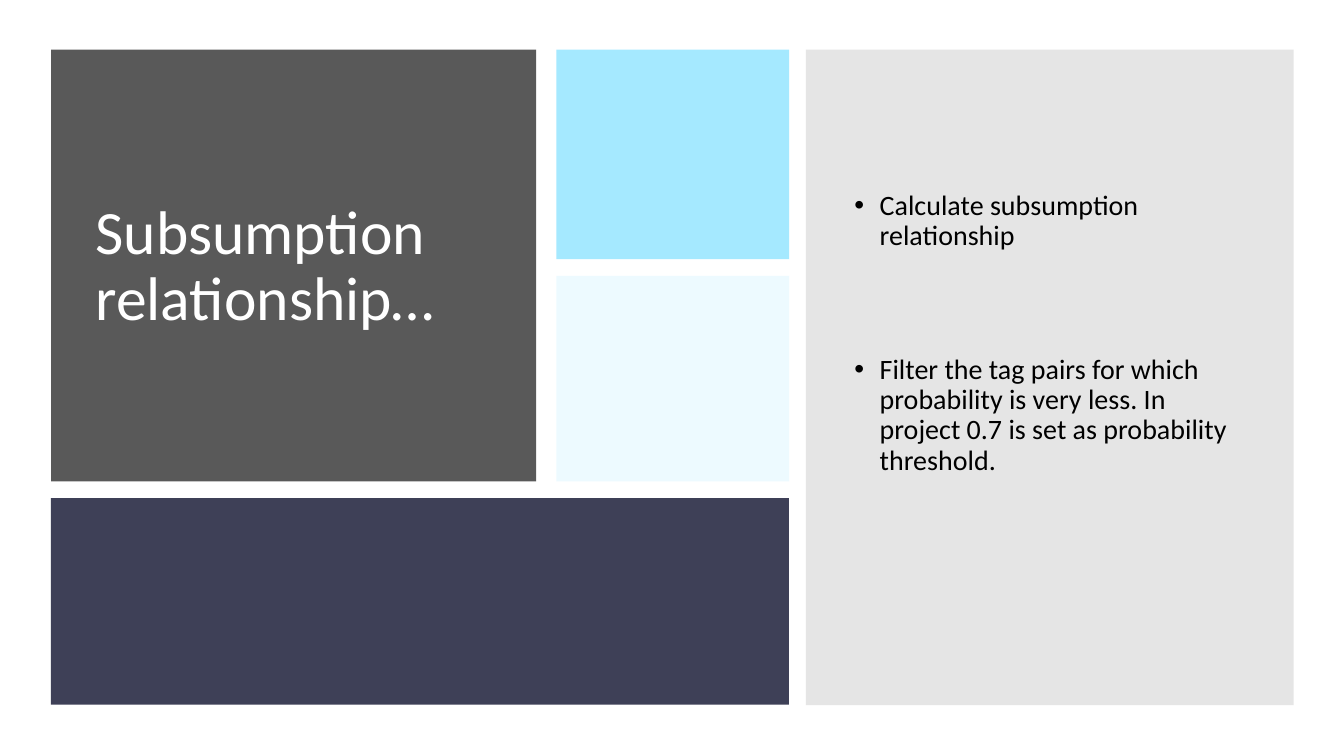
"""Build the slide on the subsumption relationship."""
from lxml.etree import SubElement
from pptx import Presentation
from pptx.dml.color import RGBColor
from pptx.enum.shapes import MSO_SHAPE
from pptx.enum.text import MSO_ANCHOR
from pptx.oxml.ns import qn
from pptx.util import Cm, Pt

COLORS = {
    "gray": "595959",
    "sky": "A5E9FF",
    "navy": "3E4057",
    "panel": "7F7F7F",
    "white": "FFFFFF",
    "black": "000000",
}

deck = Presentation()
deck.slide_width, deck.slide_height = Cm(33.87), Cm(19.05)
slide = deck.slides.add_slide(deck.slide_layouts[6])


def add_box(left, top, width, height):
    box = slide.shapes.add_textbox(Cm(left), Cm(top), Cm(width), Cm(height))
    frame = box.text_frame
    frame.word_wrap = True
    frame.vertical_anchor = MSO_ANCHOR.MIDDLE
    return frame


def add_run(para, text, size, color):
    para.line_spacing = 0.9
    run = para.add_run()
    run.text = text
    run.font.name = "Calibri"
    run.font.size = Pt(size)
    run.font.color.rgb = RGBColor.from_string(COLORS[color])


tiles = [
    (1.29, 1.25, 12.22, 10.88, "gray", 100),
    (14.02, 1.25, 5.87, 5.28, "sky", 100),
    (14.02, 6.95, 5.87, 5.18, "sky", 20),
    (1.28, 12.55, 18.6, 5.21, "navy", 100),
    (20.31, 1.25, 12.29, 16.52, "panel", 20),
]
for left, top, width, height, color, alpha in tiles:
    tile = slide.shapes.add_shape(
        MSO_SHAPE.RECTANGLE, Cm(left), Cm(top), Cm(width), Cm(height))
    tile.shadow.inherit = False
    tile.line.fill.background()
    tile.fill.solid()
    tile.fill.fore_color.rgb = RGBColor.from_string(COLORS[color])
    if alpha < 100:
        tint = tile.fill._xPr.find(".//" + qn("a:srgbClr"))
        SubElement(tint, qn("a:alpha"), val=str(alpha * 1000))

title = add_box(2.16, 2.11, 10.44, 9.27)
add_run(title.paragraphs[0], "Subsumption relationship…", 44, "white")

points = [
    "Calculate subsumption relationship",
    "Filter the tag pairs for which probability is very less. "
    "In project 0.7 is set as probability threshold.",
]
body = add_box(21.28, 2.21, 10.44, 12.4)
for i, point in enumerate(points):
    para = body.paragraphs[0] if i == 0 else body.add_paragraph()
    if i:
        para.space_before = Pt(74)
    props = para._p.get_or_add_pPr()
    props.set("marL", str(Cm(0.64)))
    props.set("indent", str(-Cm(0.64)))
    tone = SubElement(props, qn("a:buClr"))
    SubElement(tone, qn("a:srgbClr"), val=COLORS["black"])
    SubElement(props, qn("a:buFont"), typeface="Arial")
    SubElement(props, qn("a:buChar"), char="•")
    add_run(para, point, 20, "black")

deck.save("out.pptx")
